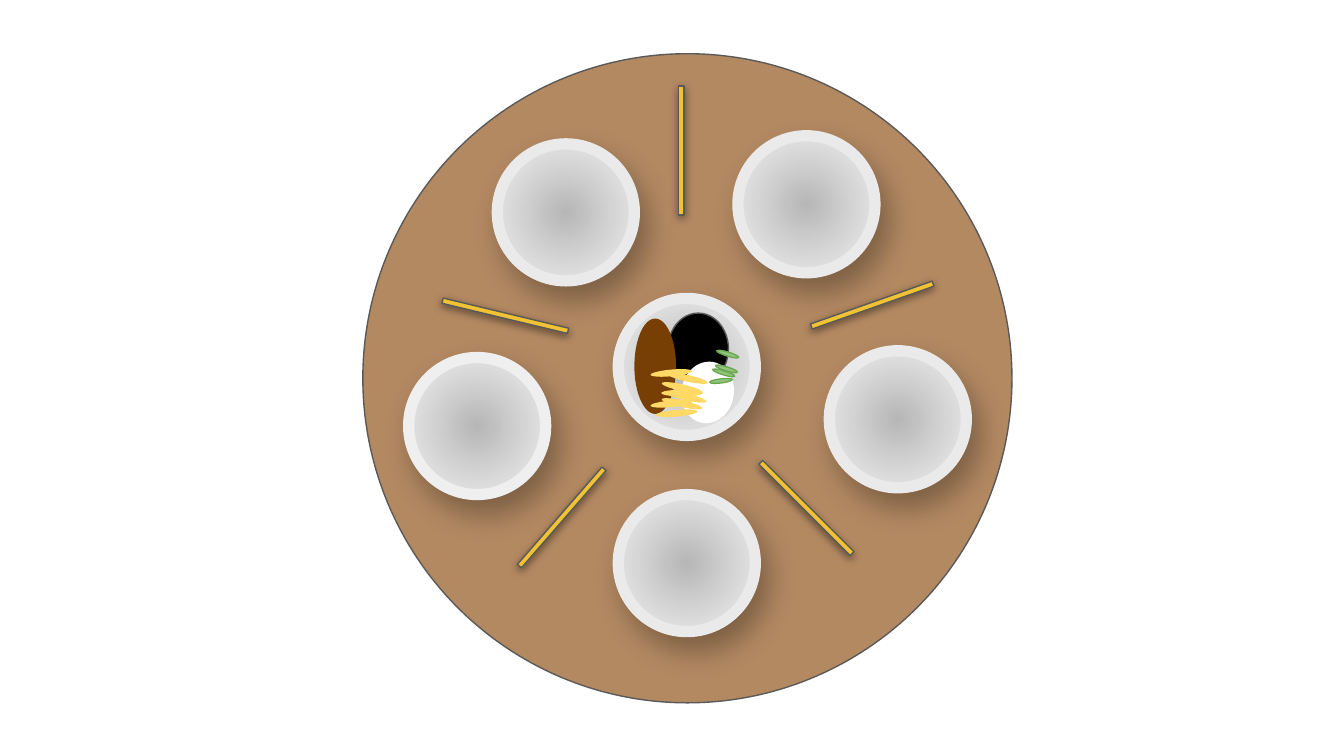
from pptx import Presentation
from pptx.dml.color import RGBColor as Rgb
from pptx.enum.shapes import MSO_SHAPE as Kind
from pptx.oxml import parse_xml
from pptx.oxml.ns import nsdecls, qn
from pptx.util import Pt

PX = 9144  # EMU per px, 100 px to the inch
WIDE = 1000
HEX = {
    "wood": "B38962", "edge": "595959", "rim": "EAEAEA", "pale": "EFEFEF",
    "bowl": "B7B7B7", "lip": "F3F3F3", "stick": "F1C232", "black": "000000",
    "brown": "783F04", "white": "FFFFFF", "fry": "FFD966",
    "leaf": "93C47D", "stem": "6AA84F",
}
DISH = 102
BAR = (96, 4)
FRY = (31, 5)
BEAN = (17, 3)


def color(name):
    return Rgb.from_string(HEX[name])


def draw(slide, box, fill, line=None, width=0.75, turn=0, kind=Kind.OVAL):
    """Add one flat shape."""
    shape = slide.shapes.add_shape(kind, *(n * PX for n in box))
    shape.rotation = turn
    shape.shadow.inherit = False
    shape.fill.solid()
    shape.fill.fore_color.rgb = color(fill)
    if line:
        shape.line.color.rgb = color(line)
        shape.line.width = Pt(width)
    else:
        shape.line.fill.background()
    return shape


def shade(shape, alpha, blur, dist, angle):
    """Give a shape an outer shadow."""
    effects = shape._element.spPr.find(qn("a:effectLst"))
    effects.append(parse_xml(
        f'<a:outerShdw {nsdecls("a")} blurRad="{Pt(blur)}" dist="{Pt(dist)}" '
        f'dir="{angle * 60000}" algn="bl" rotWithShape="0">'
        f'<a:srgbClr val="{HEX["black"]}"><a:alpha val="{alpha * 1000}"/>'
        '</a:srgbClr></a:outerShdw>'))


def glow(shape, inner, outer):
    """Fill a shape with a round gradient from its centre."""
    shape.fill.gradient()
    for stop, name in zip(shape.fill.gradient_stops, (inner, outer)):
        stop.color.rgb = color(name)
    grad = shape._element.spPr.find(qn("a:gradFill"))
    grad.remove(grad.find(qn("a:lin")))
    grad.append(parse_xml(
        f'<a:path {nsdecls("a")} path="circle">'
        '<a:fillToRect l="50000" t="50000" r="50000" b="50000"/></a:path>'))


def plate(slide, x, y, rim="rim"):
    dish = draw(slide, (x, y, DISH, DISH), "bowl", rim, width=6)
    glow(dish, "bowl", "lip")
    shade(dish, 30, 15.8, 9, 60)


def stick(slide, x, y, turn):
    bar = draw(slide, (x, y, *BAR), "stick", "edge", turn=turn, kind=Kind.RECTANGLE)
    shade(bar, 50, 4.5, 1.5, 90)


def meal(slide, x, y):
    """Put the food on the plate whose corner is x, y."""
    draw(slide, (x + 37, y + 11, 45, 53), "black", "edge")
    draw(slide, (x + 12, y + 15, 31, 71), "brown")
    draw(slide, (x + 47, y + 47, 39, 46), "white", turn=10.7)
    # Fries
    for dx, dy, turn in ((32, 68, 0), (32, 64, 12.5), (32, 76, 12.5),
                         (24, 76, -5.2), (35, 71, 12.5), (28, 83, -5.2),
                         (36, 57, 12.5), (24, 53, -5.2)):
        draw(slide, (x + dx, y + dy, *FRY), "fry", turn=turn)
    # Green beans
    for dx, dy, turn in ((70, 54, 16.9), (72, 51, 16.9),
                         (68, 60, -7), (73, 40, 16.9)):
        draw(slide, (x + dx, y + dy, *BEAN), "leaf", "stem", turn=turn)


def table(slide, x, y, size):
    draw(slide, (x, y, size, size), "wood", "edge")
    # Plates around the edge
    for dx, dy, rim in ((34, 226, "pale"), (190, 328, "rim"), (347, 221, "rim"),
                        (100, 67, "rim"), (279, 61, "rim")):
        plate(slide, x + dx, y + dy, rim)
    # Sticks between the plates
    for dx, dy, turn in ((58, 193, 13.5), (100, 343, -49), (282, 336, 45),
                         (331, 185, -19.4), (189, 70, 90)):
        stick(slide, x + dx, y + dy, turn)
    # Full plate in the middle
    plate(slide, x + 190, y + 182)
    meal(slide, x + 190, y + 182)


def main():
    deck = Presentation()
    deck.slide_width = WIDE * PX
    deck.slide_height = WIDE * PX * 9 // 16
    slide = deck.slides.add_slide(deck.slide_layouts[6])
    table(slide, 270, 40, 483)
    deck.save("out.pptx")


if __name__ == "__main__":
    main()
